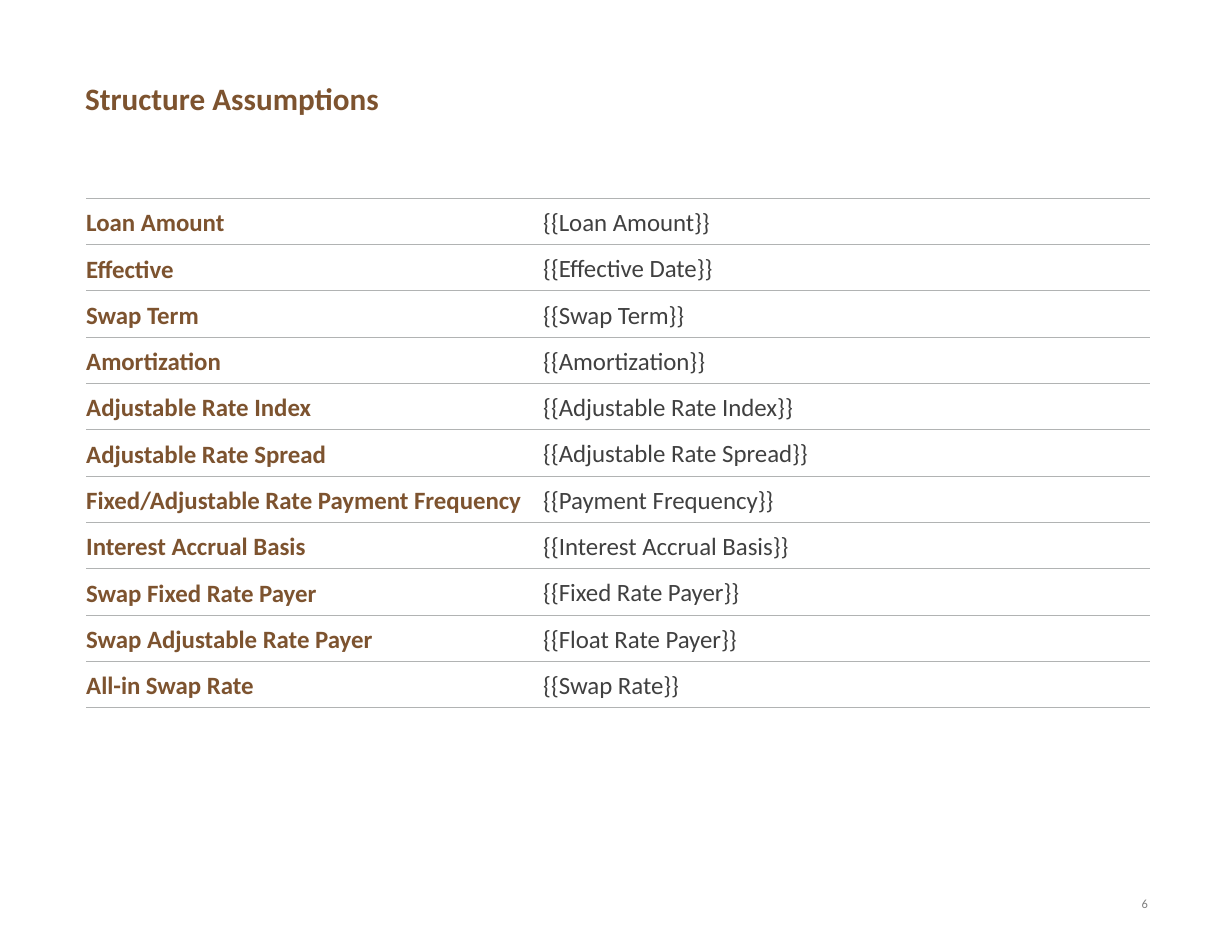
"""Build the Structure Assumptions slide of a swap proposal."""
from dataclasses import dataclass

from lxml import etree
from pptx import Presentation
from pptx.dml.color import RGBColor
from pptx.enum.text import MSO_ANCHOR, MSO_AUTO_SIZE, PP_ALIGN
from pptx.oxml.ns import qn
from pptx.util import Inches, Pt

LEFT, RIGHT = PP_ALIGN.LEFT, PP_ALIGN.RIGHT
TOP, MIDDLE = MSO_ANCHOR.TOP, MSO_ANCHOR.MIDDLE
NO_AUTOFIT = MSO_AUTO_SIZE.NONE
TITLE_ONLY = 5

SLIDE_WIDTH, SLIDE_HEIGHT = 11, 8.5
MARGIN = 0.76
CONTENT_WIDTH = 9.49
CONTENT_RIGHT = MARGIN + CONTENT_WIDTH
TABLE_LEFT, TABLE_TOP = 0.77, 1.77
TABLE_HEIGHT = 4.55
TABLE_COLUMNS = (4.08, 5.42)


@dataclass(frozen=True)
class Theme:
    """Colours, font and type sizes of the slide."""

    font: str = "Calibri"
    accent: str = "7D532F"
    body: str = "404040"
    muted: str = "7F7F7F"
    rule: str = "B1B3B3"
    title_size: float = 20
    table_size: float = 16
    number_size: float = 8
    rule_width: float = 0.5


THEME = Theme()

ASSUMPTIONS = (
    ("Loan Amount", "{{Loan Amount}}"),
    ("Effective", "{{Effective Date}}"),
    ("Swap Term", "{{Swap Term}}"),
    ("Amortization", "{{Amortization}}"),
    ("Adjustable Rate Index", "{{Adjustable Rate Index}}"),
    ("Adjustable Rate Spread", "{{Adjustable Rate Spread}}"),
    ("Fixed/Adjustable Rate Payment Frequency", "{{Payment Frequency}}"),
    ("Interest Accrual Basis", "{{Interest Accrual Basis}}"),
    ("Swap Fixed Rate Payer", "{{Fixed Rate Payer}}"),
    ("Swap Adjustable Rate Payer", "{{Float Rate Payer}}"),
    ("All-in Swap Rate", "{{Swap Rate}}"),
)


def write(frame, text, size, color, bold=False, align=LEFT):
    """Put one formatted paragraph in a text frame and return it."""
    frame.text = text
    paragraph = frame.paragraphs[0]
    paragraph.alignment = align
    font = paragraph.font
    font.name, font.size, font.bold = THEME.font, Pt(size), bold
    font.color.rgb = RGBColor.from_string(color)
    return paragraph


def set_insets(holder, horizontal=0, vertical=0):
    """Set the inner margins of a text frame or table cell."""
    holder.margin_left = holder.margin_right = Inches(horizontal)
    holder.margin_top = holder.margin_bottom = Inches(vertical)


def add_title(slide, text):
    """Place and fill the title placeholder."""
    title = slide.shapes.title
    title.left, title.top = Inches(MARGIN), Inches(0.75)
    title.width, title.height = Inches(CONTENT_WIDTH), Inches(0.75)
    frame = title.text_frame
    frame.auto_size = NO_AUTOFIT
    frame.vertical_anchor = TOP
    set_insets(frame)
    heading = write(frame, text, THEME.title_size, THEME.accent, bold=True)
    heading.line_spacing = 0.9


def add_page_number(slide, number):
    """Add the page number at the lower right margin."""
    width, height = 0.35, 0.25
    box = slide.shapes.add_textbox(
        Inches(CONTENT_RIGHT - width), Inches(SLIDE_HEIGHT - 2 * height),
        Inches(width), Inches(height))
    frame = box.text_frame
    frame.word_wrap = True
    set_insets(frame)
    write(frame, number, THEME.number_size, THEME.muted, align=RIGHT)


def rule_cell(cell):
    """Give a cell horizontal rules only."""
    properties = cell._tc.get_or_add_tcPr()
    for side in ("L", "R"):
        line = etree.SubElement(properties, qn(f"a:ln{side}"), w="0")
        etree.SubElement(line, qn("a:noFill"))
    for side in ("T", "B"):
        line = etree.SubElement(
            properties, qn(f"a:ln{side}"), w=str(Pt(THEME.rule_width)))
        fill = etree.SubElement(line, qn("a:solidFill"))
        etree.SubElement(fill, qn("a:srgbClr"), val=THEME.rule)


def fill_cell(cell, text, color, bold, inset):
    """Write and format one table cell."""
    rule_cell(cell)
    cell.fill.background()
    cell.vertical_anchor = MIDDLE
    set_insets(cell, vertical=inset)
    entry = write(cell.text_frame, text, THEME.table_size, color, bold)
    entry.line_spacing = 1.1
    entry.space_before = Pt(5)


def add_assumptions(slide, assumptions):
    """Add the table of terms and their values."""
    table = slide.shapes.add_table(
        len(assumptions), len(TABLE_COLUMNS), Inches(TABLE_LEFT),
        Inches(TABLE_TOP), Inches(sum(TABLE_COLUMNS)),
        Inches(TABLE_HEIGHT)).table
    table.first_row = table.horz_banding = False
    for column, width in zip(table.columns, TABLE_COLUMNS):
        column.width = Inches(width)
    for row, (term, value) in zip(table.rows, assumptions):
        term_cell, value_cell = row.cells
        fill_cell(term_cell, term, THEME.accent, True, 0.06)
        fill_cell(value_cell, value, THEME.body, False, 0.05)


def main():
    """Build and save the slide."""
    deck = Presentation()
    deck.slide_width, deck.slide_height = Inches(SLIDE_WIDTH), Inches(SLIDE_HEIGHT)
    slide = deck.slides.add_slide(deck.slide_layouts[TITLE_ONLY])
    add_title(slide, "Structure Assumptions")
    add_page_number(slide, "6")
    add_assumptions(slide, ASSUMPTIONS)
    deck.save("out.pptx")


if __name__ == "__main__":
    main()
